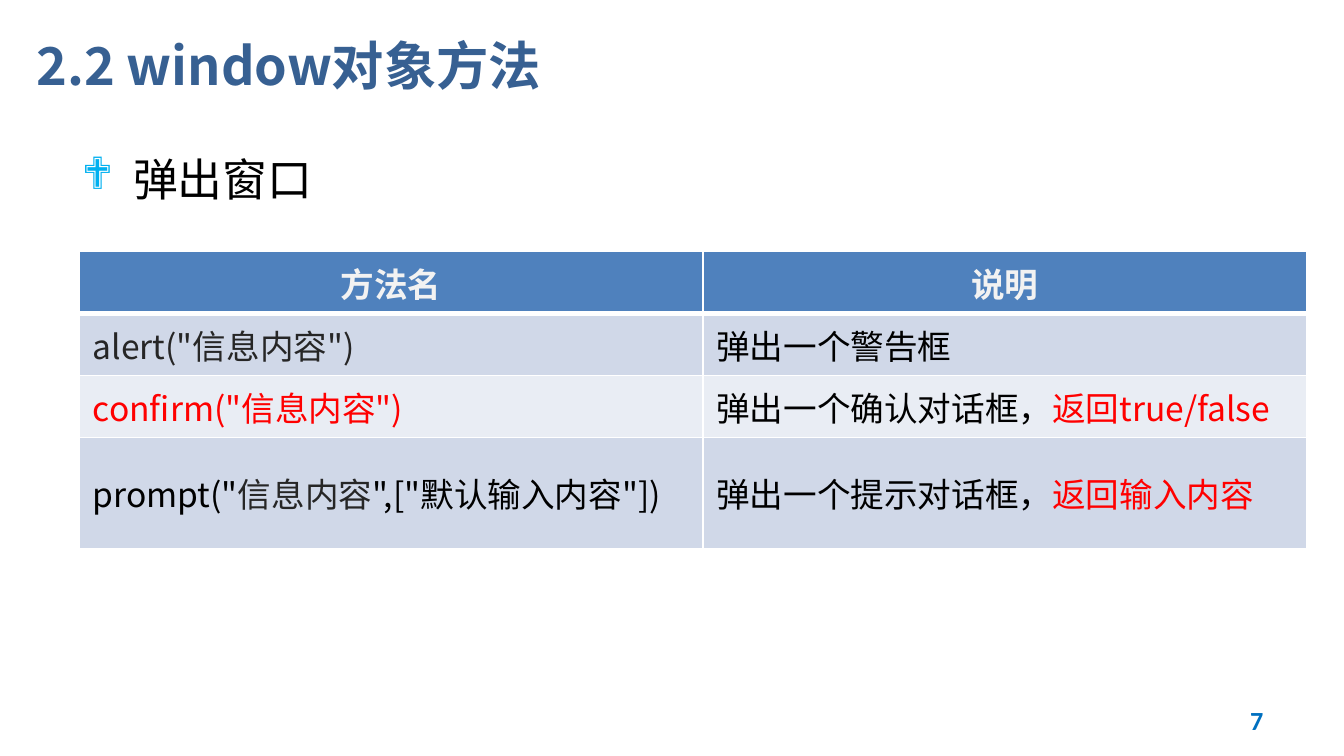
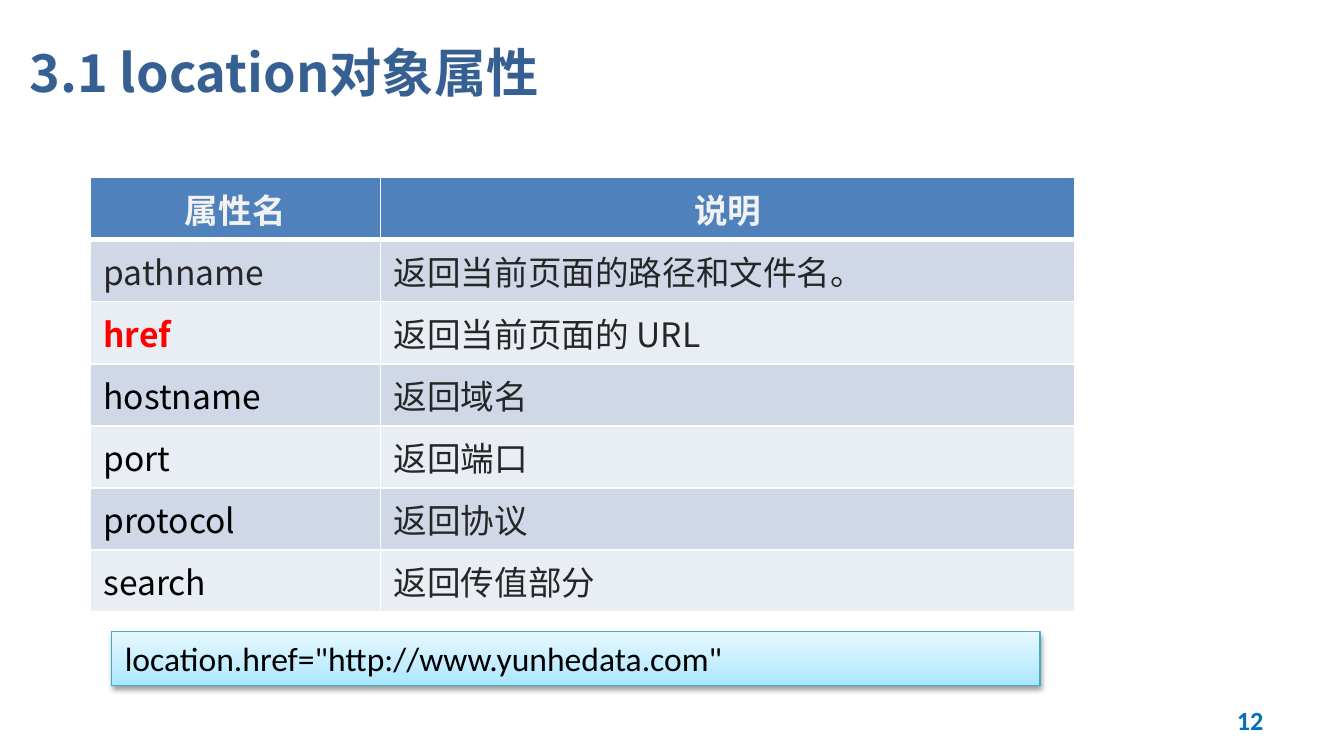
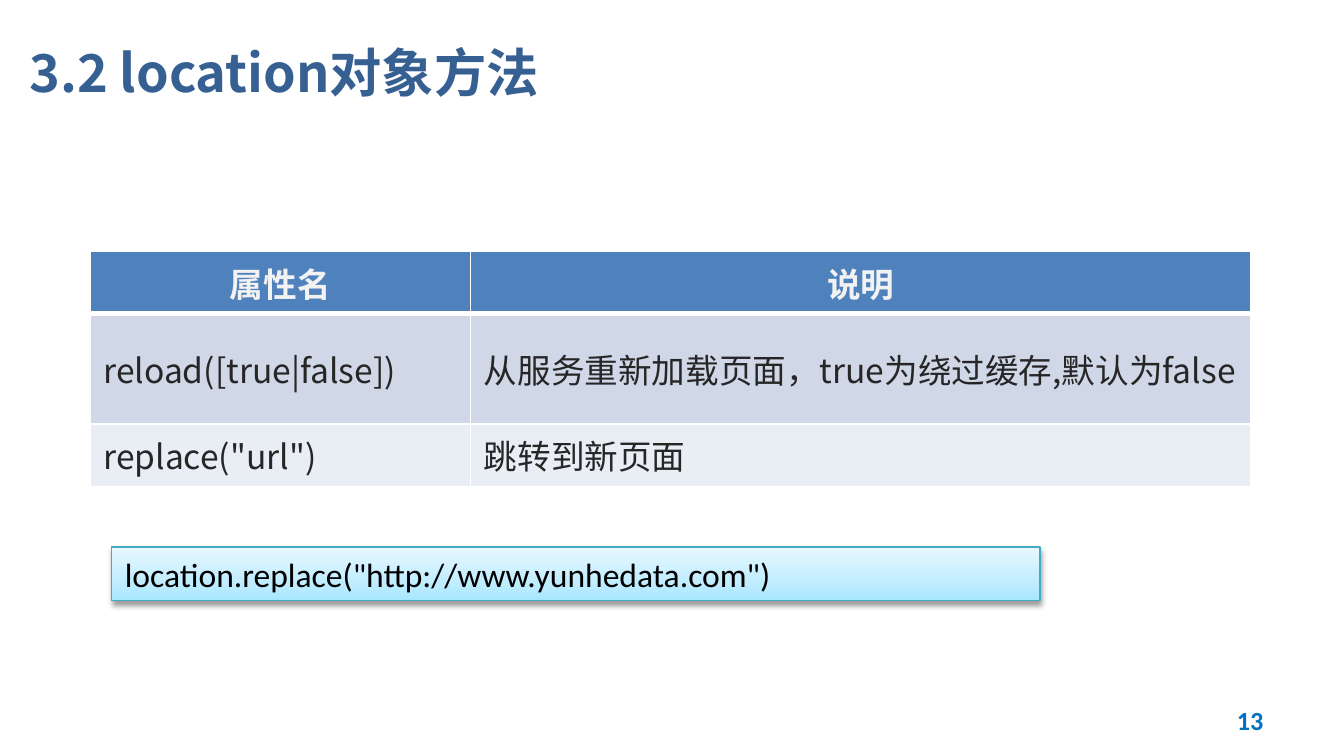
from collections import namedtuple

from pptx import Presentation
from pptx.dml.color import RGBColor
from pptx.enum.shapes import MSO_SHAPE as Preset
from pptx.enum.text import MSO_ANCHOR as Anchor
from pptx.enum.text import MSO_AUTO_SIZE as AutoSize
from pptx.enum.text import PP_ALIGN as Align
from pptx.oxml import parse_xml
from pptx.oxml.ns import nsdecls
from pptx.util import Emu, Pt

# Shared look
EMU_PER_PX = 9144  # 100 px to the inch
CJK, LATIN, SYMBOLS = "Noto Sans CJK SC", "Calibri", "Wingdings"
WHITE, BLACK, INK, RED = "FFFFFF", "000000", "262626", "FF0000"
TITLE_BLUE, NUMBER_BLUE, BULLET_BLUE = "376092", "0070C0", "00B0F0"
HEADER_FILL, HEADER_TEXT = "4F81BD", "F2F2F2"
BAND_FILLS = ("D0D8E8", "E9EDF4")
CODE_LINE = "46AAC5"
CODE_STOPS = ((0, "A7E6FF"), (35, "C1EDFF"), (100, "E7F8FF"))

TITLE_ONLY, TITLE_AND_BODY = 5, 1
NUMBER_BOX = (717, 521, 233, 30)

Span = namedtuple("Span", "text color bold", defaults=(INK, False))


def px(length):
    return Emu(length * EMU_PER_PX)


def rgb(color):
    return RGBColor.from_string(color)


def element(xml):
    """Make a drawing element from text that leaves out the namespace."""
    head, rest = xml.split(" ", 1)
    return parse_xml(f"{head} {nsdecls('a')} {rest}")


def place(shape, box):
    shape.left, shape.top, shape.width, shape.height = map(px, box)


def add_span(para, span, size, font=CJK):
    run = para.add_run()
    run.text = span.text
    run.font.size = Pt(size)
    run.font.bold = span.bold
    run.font.color.rgb = rgb(span.color)
    run.font.name = font
    run.font._element.append(element(f'<a:ea typeface="{font}"/>'))


def set_frame(frame, anchor, auto_size=AutoSize.NONE):
    frame.word_wrap = True
    frame.vertical_anchor = anchor
    frame.auto_size = auto_size
    return frame.paragraphs[0]


# Title and slide number
def add_page(deck, layout, title, number, corner=(12, 6)):
    page = deck.slides.add_slide(deck.slide_layouts[layout])
    holder = page.shapes.title
    place(holder, (*corner, 900, 94))
    para = set_frame(holder.text_frame, Anchor.MIDDLE)
    para.alignment = Align.LEFT
    add_span(para, Span(title, TITLE_BLUE, True), 28)

    number_box = page.shapes.add_textbox(*map(px, NUMBER_BOX))
    para = set_frame(number_box.text_frame, Anchor.MIDDLE)
    para.alignment = Align.RIGHT
    add_span(para, Span(str(number), NUMBER_BLUE, True), 14, LATIN)
    return page


# Bulleted heading in the body placeholder
def fill_body(page, box, text):
    body = page.placeholders[1]
    place(body, box)
    para = set_frame(body.text_frame, Anchor.TOP)
    props = para._p.get_or_add_pPr()
    props.set("marL", str(px(38)))
    props.set("indent", str(px(-38)))
    props.append(element(f'<a:buClr ><a:srgbClr val="{BULLET_BLUE}"/></a:buClr>'))
    props.append(element(f'<a:buFont typeface="{SYMBOLS}"/>'))
    props.append(element('<a:buChar char="❖"/>'))
    para.space_before = Pt(0)
    add_span(para, Span(text, BLACK), 24)


# Banded table with a header row
def style_cell(cell, spans, row):
    top, bottom = (3 if row == 1 else 1), (3 if row == 0 else 1)
    props = cell._tc.get_or_add_tcPr()
    for side, width in zip("LRTB", (1, 1, top, bottom)):
        props.append(element(
            f'<a:ln{side} w="{Pt(width)}"><a:solidFill>'
            f'<a:srgbClr val="{WHITE}"/></a:solidFill></a:ln{side}>'))
    cell.fill.solid()
    cell.fill.fore_color.rgb = rgb(BAND_FILLS[(row - 1) % 2] if row else HEADER_FILL)
    cell.vertical_anchor = Anchor.MIDDLE
    para = cell.text_frame.paragraphs[0]
    para.alignment = Align.LEFT if row else Align.CENTER
    for span in spans:
        add_span(para, span, 18)


def add_method_table(page, corner, widths, heights, headings, rows):
    header = [[Span(text, HEADER_TEXT, True)] for text in headings]
    size = (sum(widths), sum(heights))
    table = page.shapes.add_table(
        len(heights), len(widths), *map(px, (*corner, *size))).table
    for column, width in zip(table.columns, widths):
        column.width = px(width)
    for line, height in zip(table.rows, heights):
        line.height = px(height)
    for row, cells in enumerate([header, *rows]):
        for column, spans in enumerate(cells):
            style_cell(table.cell(row, column), spans, row)


# Shaded box for one line of code
def add_code_box(page, top, code):
    box = page.shapes.add_shape(Preset.RECTANGLE, *map(px, (83, top, 691, 40)))
    stops = "".join(
        f'<a:gs pos="{pos * 1000}"><a:srgbClr val="{color}"/></a:gs>'
        for pos, color in CODE_STOPS)
    props = box._element.spPr
    props.append(element(
        f'<a:gradFill rotWithShape="1"><a:gsLst>{stops}</a:gsLst>'
        '<a:lin ang="16200000" scaled="1"/></a:gradFill>'))
    box.line.color.rgb = rgb(CODE_LINE)
    box.line.width = Pt(0.75)
    props.append(element(
        f'<a:effectLst ><a:outerShdw blurRad="{Pt(3.1)}" dist="{Pt(1.6)}" '
        f'dir="5400000" rotWithShape="0"><a:srgbClr val="{BLACK}">'
        '<a:alpha val="38000"/></a:srgbClr></a:outerShdw></a:effectLst>'))
    para = set_frame(box.text_frame, Anchor.TOP, AutoSize.SHAPE_TO_FIT_TEXT)
    para.alignment = Align.LEFT
    add_span(para, Span(code, BLACK), 18, LATIN)


# Slides
def build_window_methods(deck):
    page = add_page(deck, TITLE_AND_BODY, "2.2 window对象方法", 7, (17, 1))
    fill_body(page, (51, 108, 748, 79), "弹出窗口")
    rows = [
        ([Span('alert("信息内容")')], [Span("弹出一个警告框", BLACK)]),
        ([Span('confirm("信息内容")', RED)],
         [Span("弹出一个确认对话框，", BLACK), Span("返回true/false", RED)]),
        ([Span('prompt("', BLACK), Span("信息内容"),
          Span('",["默认输入内容"])', BLACK)],
         [Span("弹出一个提示对话框，", BLACK), Span("返回输入内容", RED)]),
    ]
    add_method_table(page, (59, 187), (464, 449), (43, 43, 43, 74),
                     ("方法名", "说明"), rows)


def build_location_properties(deck):
    page = add_page(deck, TITLE_ONLY, "3.1 location对象属性", 12)
    properties = [
        (Span("pathname"), "返回当前页面的路径和文件名。"),
        (Span("href", RED, True), "返回当前页面的 URL"),
        (Span("hostname", BLACK), "返回域名"),
        (Span("port", BLACK), "返回端口"),
        (Span("protocol", BLACK), "返回协议"),
        (Span("search", BLACK), "返回传值部分"),
    ]
    rows = [([name], [Span(meaning)]) for name, meaning in properties]
    add_method_table(page, (67, 132), (216, 517), [42] * 7,
                     ("属性名", "说明"), rows)
    add_code_box(page, 470, 'location.href="http://www.yunhedata.com"')


def build_location_methods(deck):
    page = add_page(deck, TITLE_ONLY, "3.2 location对象方法", 13)
    rows = [
        ([Span("reload([true|false])")],
         [Span("从服务重新加载页面，true为绕过缓存,默认为false")]),
        ([Span('replace("url")')], [Span("跳转到新页面")]),
    ]
    add_method_table(page, (67, 187), (283, 581), [42] * 3,
                     ("属性名", "说明"), rows)
    add_code_box(page, 407, 'location.replace("http://www.yunhedata.com")')


def main():
    deck = Presentation()
    deck.slide_width = px(1000)
    deck.slide_height = deck.slide_width * 9 // 16
    build_window_methods(deck)
    build_location_properties(deck)
    build_location_methods(deck)
    deck.save("out.pptx")


if __name__ == "__main__":
    main()
